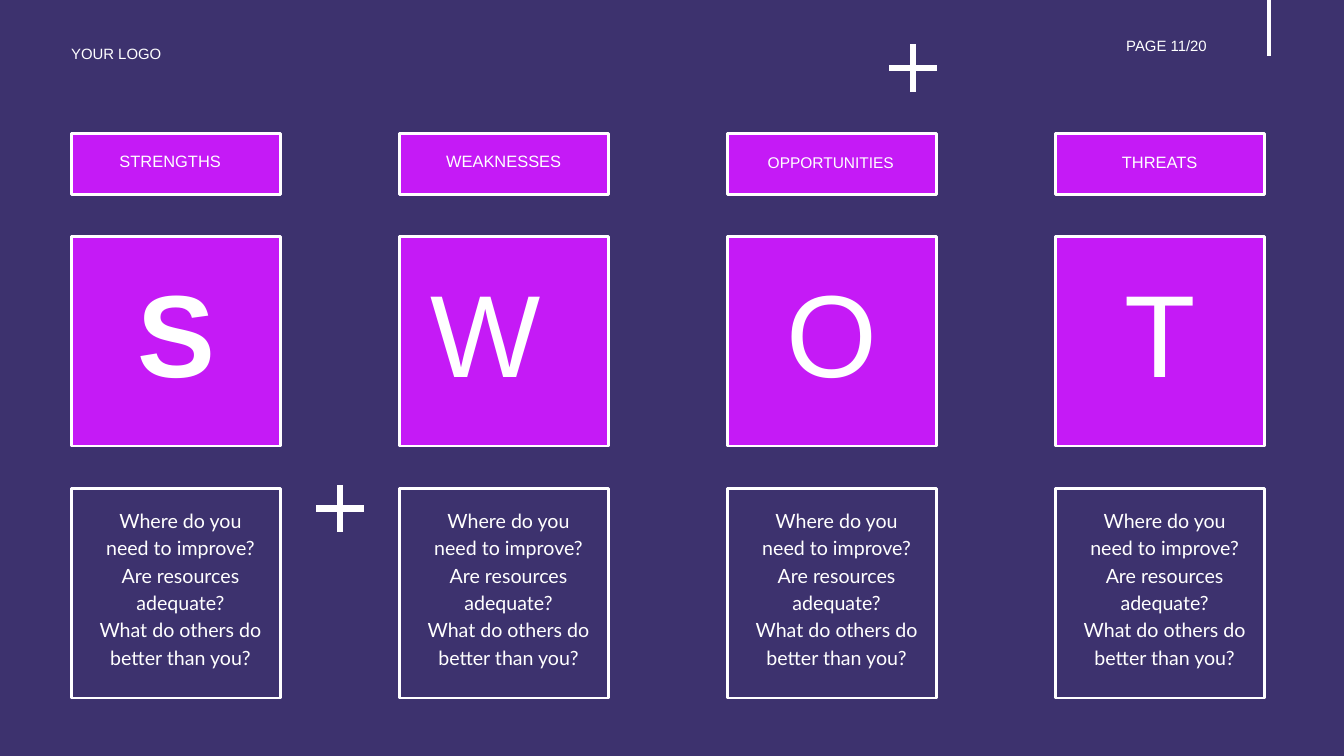
from pptx import Presentation
from pptx.dml.color import RGBColor as Rgb
from pptx.enum.shapes import MSO_CONNECTOR as Link, MSO_SHAPE as Shape
from pptx.enum.text import MSO_AUTO_SIZE as Auto, PP_ALIGN as Align
from pptx.oxml.ns import qn
from pptx.util import Cm, Pt
from lxml import etree

COLORS = {"back": "3D326E", "panel": "C51AF6", "ink": "FFFFFF"}
LEFT, STEP, SIDE = 2.69, 12.4, 7.92
QUESTIONS = [
    "Where do you",
    "need to improve?",
    "Are resources adequate?",
    "What do others do better than you?",
]
# Heading, (inset, top, width, size), letter (inset, width, bold)
COLUMNS = [
    ("STRENGTHS", (0.66, 5.72, 6.17, 17.6), (0.43, 7.09, True)),
    ("WEAKNESSES", (0.56, 5.72, 6.78, 17.6), (0.56, 5.41, False)),
    ("OPPORTUNITIES", (0, 5.79, 7.82, 16.6), (1.24, 5.41, False)),
    ("THREATS", (0.86, 5.74, 6.17, 17.6), (1.24, 5.41, False)),
]


def tint(name):
    return Rgb.from_string(COLORS[name])


class Board:
    def __init__(self, slide):
        self.slide = slide
        fill = slide.background.fill
        fill.solid()
        fill.fore_color.rgb = tint("back")

    def panel(self, x, y, w, h, color=None):
        box = self.slide.shapes.add_shape(
            Shape.RECTANGLE, Cm(x), Cm(y), Cm(w), Cm(h))
        box.shadow.inherit = False
        if color:
            box.fill.solid()
            box.fill.fore_color.rgb = tint(color)
        else:
            box.fill.background()
        box.line.color.rgb = tint("ink")
        box.line.width = Pt(3)

    def text(self, x, y, w, h, lines, size, space,
             font="Arial", bold=False, align=Align.CENTER):
        frame = self.slide.shapes.add_textbox(
            Cm(x), Cm(y), Cm(w), Cm(h)).text_frame
        setup = {"word_wrap": True, "auto_size": Auto.SHAPE_TO_FIT_TEXT,
                 "margin_left": 0, "margin_right": 0,
                 "margin_top": 0, "margin_bottom": 0}
        for key, value in setup.items():
            setattr(frame, key, value)
        style = {"name": font, "size": Pt(size), "bold": bold}
        for i, line in enumerate(lines):
            para = frame.add_paragraph() if i else frame.paragraphs[0]
            para.alignment = align
            para.line_spacing = Pt(space)
            run = para.add_run()
            run.text = line
            for key, value in style.items():
                setattr(run.font, key, value)
            run.font.color.rgb = tint("ink")

    def line(self, x1, y1, x2, y2, width):
        link = self.slide.shapes.add_connector(
            Link.STRAIGHT, Cm(x1), Cm(y1), Cm(x2), Cm(y2))
        link.line.color.rgb = tint("ink")
        link.line.width = Pt(width)
        etree.SubElement(link._element.spPr, qn("a:effectLst"))

    def plus(self, x, y, arm=0.89):
        self.line(x - arm, y, x + arm, y, 6.75)
        self.line(x, y - arm, x, y + arm, 6.75)


def main():
    deck = Presentation()
    deck.slide_width, deck.slide_height = Cm(50.8), Cm(28.58)
    board = Board(deck.slides.add_slide(deck.slide_layouts[6]))

    # Page header
    board.text(42.57, 1.37, 5.38, 0.71, ["PAGE 11/20"], 16, 19.2,
               align=Align.LEFT)
    board.line(47.96, 0, 47.96, 2.11, 4)
    board.text(2.69, 1.7, 7.42, 0.71, ["YOUR LOGO"], 16, 19.2,
               align=Align.LEFT)

    # One column per SWOT part
    for i, (name, head, mark) in enumerate(COLUMNS):
        x = LEFT + i * STEP
        board.panel(x, 5.05, SIDE, 2.29, "panel")
        board.panel(x, 8.94, SIDE, SIDE, "panel")
        board.panel(x, 18.47, SIDE, SIDE)
        inset, top, width, size = head
        board.text(x + inset, top, width, 0.84, [name], size, size * 1.2)
        inset, width, bold = mark
        board.text(x + inset, 9.87, width, 5.69, [name[0]], 125.1, 150.2,
                   bold=bold)
        board.text(x + 0.36, 19.08, 7.54, 7.16, QUESTIONS, 21, 29.4, "Lato")

    # Plus signs
    board.plus(34.51, 2.57)
    board.plus(12.85, 19.22)

    deck.save("out.pptx")


if __name__ == "__main__":
    main()
